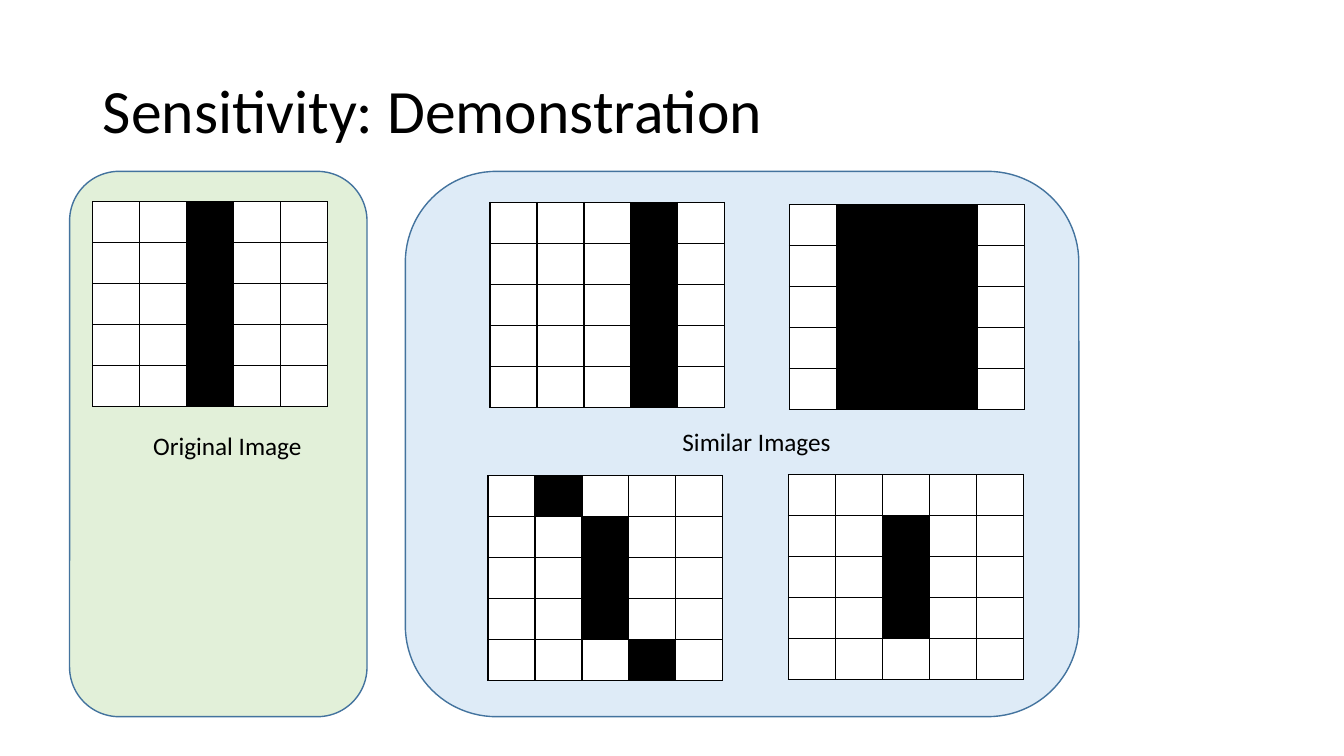
import dataclasses

import pptx
import pptx.dml.color
import pptx.enum.shapes
import pptx.enum.text
import pptx.oxml
import pptx.oxml.ns
import pptx.util

SCALE = 9144
TEXT = pptx.enum.text


@dataclasses.dataclass(frozen=True)
class Theme:
    font: str = "Calibri"
    title: int = 44
    label: int = 18
    ink: str = "000000"
    paper: str = "FFFFFF"
    edge: str = "43739E"
    green: str = "E2F0D9"
    blue: str = "DEEBF7"


THEME = Theme()

PANELS = [
    ((402, 170, 668, 541), THEME.blue),
    ((69, 170, 295, 541), THEME.green),
]

BAR = "..#.."
GRIDS = [
    ((92, 200), [BAR] * 5),
    ((486, 201), ["...#."] * 5),
    ((783, 203), [".###."] * 5),
    ((782, 471), ["....."] + [BAR] * 3 + ["....."]),
    ((484, 472), [".#..."] + [BAR] * 3 + ["...#."]),
]

LABELS = [
    ((142, 422, 169, 40), "Original Image"),
    ((667, 418, 169, 40), "Similar Images"),
]


def px(*sizes):
    return [pptx.util.Emu(size * SCALE) for size in sizes]


def color(code):
    return pptx.dml.color.RGBColor.from_string(code)


def apply(item, form):
    for name, value in form.items():
        setattr(item, name, value)


def paint(item, code):
    item.fill.solid()
    item.fill.fore_color.rgb = color(code)


def write(frame, text, size, form):
    apply(frame, form)
    para = frame.paragraphs[0]
    run = para.add_run()
    run.text = text
    apply(run.font, {"name": THEME.font, "size": pptx.util.Pt(size)})
    run.font.color.rgb = color(THEME.ink)
    return para


def add_title(slide, text):
    title = slide.shapes.title
    apply(title, dict(zip(("left", "top", "width", "height"), px(92, 40, 1150, 145))))
    form = {
        "vertical_anchor": TEXT.MSO_ANCHOR.MIDDLE,
        "word_wrap": True,
        "auto_size": TEXT.MSO_AUTO_SIZE.NONE,
    }
    para = write(title.text_frame, text, THEME.title, form)
    apply(para, {"alignment": TEXT.PP_ALIGN.LEFT, "line_spacing": 0.9})


def add_panel(slide, area, code):
    kind = pptx.enum.shapes.MSO_SHAPE.ROUNDED_RECTANGLE
    panel = slide.shapes.add_shape(kind, *px(*area))
    panel.shadow.inherit = False
    paint(panel, code)
    panel.line.color.rgb = color(THEME.edge)
    panel.line.width = pptx.util.Pt(1)


def add_edges(cell):
    props = cell._tc.get_or_add_tcPr()
    space = pptx.oxml.ns.nsdecls("a")
    for index, side in enumerate("LRTB"):
        edge = pptx.oxml.parse_xml(
            f'<a:ln{side} {space} w="12700"><a:solidFill>'
            f'<a:srgbClr val="{THEME.ink}"/></a:solidFill></a:ln{side}>'
        )
        props.insert(index, edge)


def add_grid(slide, spot, rows):
    area = px(*spot, 233, 203)
    table = slide.shapes.add_table(len(rows), len(rows[0]), *area).table
    apply(table, {"first_row": False, "horz_banding": False})
    for y, row in enumerate(rows):
        for x, mark in enumerate(row):
            cell = table.cell(y, x)
            apply(cell, {"margin_top": 0, "margin_bottom": 0})
            paint(cell, THEME.ink if mark == "#" else THEME.paper)
            add_edges(cell)


def add_label(slide, area, text):
    box = slide.shapes.add_textbox(*px(*area))
    form = {"word_wrap": False, "auto_size": TEXT.MSO_AUTO_SIZE.SHAPE_TO_FIT_TEXT}
    write(box.text_frame, text, THEME.label, form)


def main():
    deck = pptx.Presentation()
    apply(deck, dict(zip(("slide_width", "slide_height"), px(1333, 750))))
    slide = deck.slides.add_slide(deck.slide_layouts[5])
    for area, code in PANELS:
        add_panel(slide, area, code)
    add_title(slide, "Sensitivity: Demonstration")
    for spot, rows in GRIDS:
        add_grid(slide, spot, rows)
    for area, text in LABELS:
        add_label(slide, area, text)
    deck.save("out.pptx")


if __name__ == "__main__":
    main()
